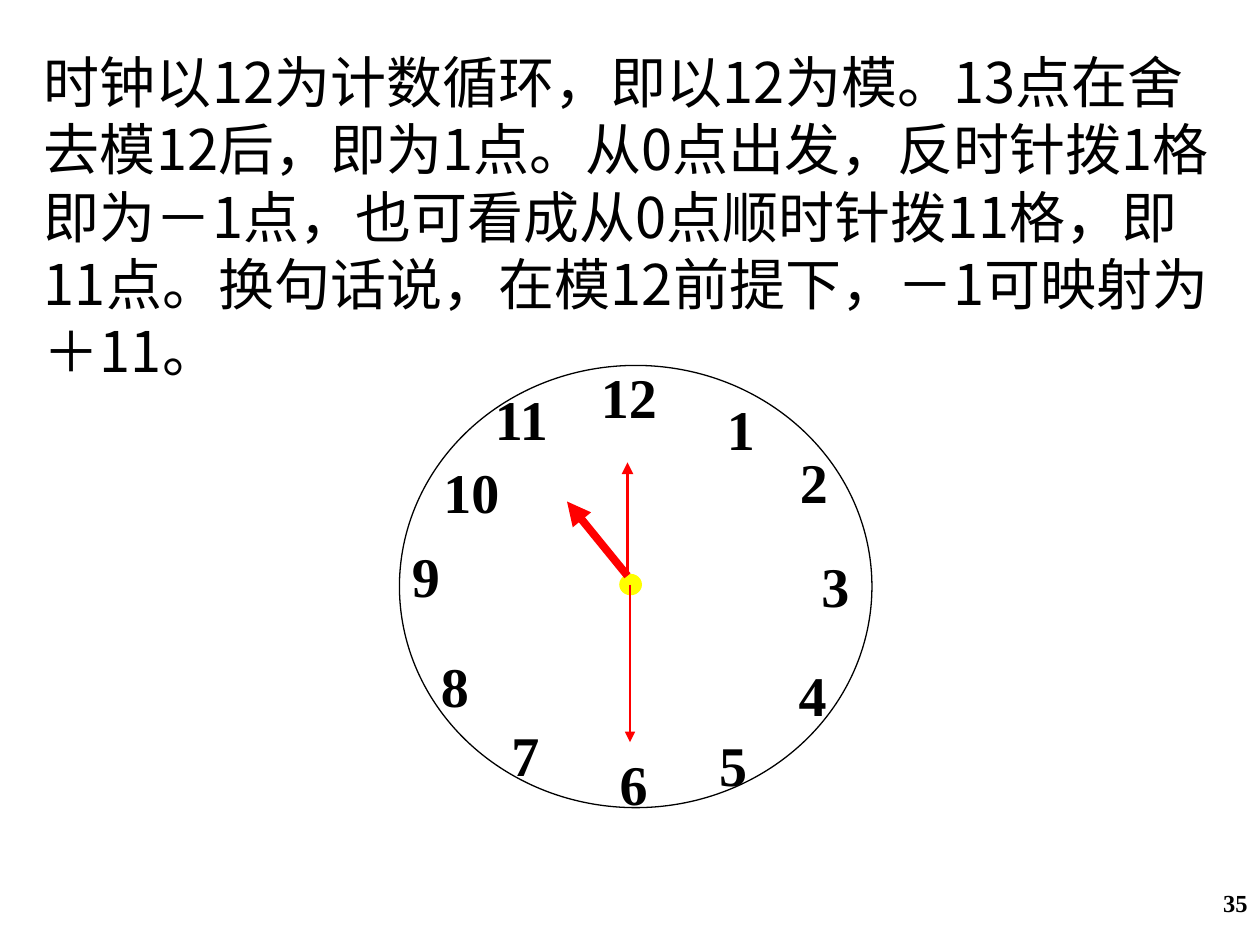
from lxml import etree
from pptx import Presentation
from pptx.dml.color import RGBColor
from pptx.enum.shapes import MSO_CONNECTOR, MSO_SHAPE
from pptx.enum.text import PP_ALIGN
from pptx.oxml.ns import qn
from pptx.util import Inches, Pt

OVAL = MSO_SHAPE.OVAL
STRAIGHT = MSO_CONNECTOR.STRAIGHT
RIGHT = PP_ALIGN.RIGHT

BLACK = RGBColor(0x00, 0x00, 0x00)
RED = RGBColor(0xFF, 0x00, 0x00)
YELLOW = RGBColor(0xFF, 0xFF, 0x00)

WIDTH, HEIGHT = 10, 7.5
BODY_FONT = "Noto Sans CJK SC"
NUMBER_FONT = "Times New Roman"
BODY_FORMAT = {"name": BODY_FONT, "size": Pt(32), "bold": False}
HOUR_FORMAT = {"name": NUMBER_FONT, "size": Pt(32), "bold": True}
PAGE_FORMAT = {"name": NUMBER_FONT, "size": Pt(14), "bold": True}

EXPLANATION = (
    "时钟以12为计数循环，即以12为模。13点在舍去模12后，即为1点。"
    "从0点出发，反时针拨1格即为－1点，也可看成从0点顺时针拨11格，即11点。"
    "换句话说，在模12前提下，－1可映射为＋11。"
)
HOUR_CORNERS = {
    12: (4.67, 2.83), 11: (3.83, 3), 10: (3.42, 3.58), 9: (3.17, 4.25),
    8: (3.4, 5.12), 7: (3.96, 5.67), 6: (4.82, 5.9), 5: (5.61, 5.75),
    4: (6.24, 5.19), 3: (6.42, 4.33), 2: (6.25, 3.5), 1: (5.67, 3.08),
}
HANDS = [
    ((5, 4.64), (5, 5.89), 1.5),
    ((4.98, 4.57), (4.5, 3.98), 4.5),
    ((4.98, 4.56), (4.98, 3.67), 2.25),
]


def add_text(shapes, text, box, text_format):
    """Add a one-paragraph text box and return its paragraph."""
    shape = shapes.add_textbox(*map(Inches, box))
    shape.text_frame.word_wrap = True
    paragraph = shape.text_frame.paragraphs[0]
    run = paragraph.add_run()
    run.text = text
    run.font.color.rgb = BLACK
    for name, value in text_format.items():
        setattr(run.font, name, value)
    east_asian = etree.SubElement(run.font._element, qn("a:ea"))
    east_asian.set("typeface", text_format["name"])
    return paragraph


def add_oval(shapes, box, line_color, fill_color=None):
    """Add an ellipse with a thin outline and an optional fill."""
    oval = shapes.add_shape(OVAL, *map(Inches, box))
    oval.shadow.inherit = False
    oval.line.color.rgb = line_color
    oval.line.width = Pt(0.75)
    if fill_color is None:
        oval.fill.background()
    else:
        oval.fill.solid()
        oval.fill.fore_color.rgb = fill_color


def add_hand(shapes, start, end, width):
    """Add a red clock hand with an arrowhead at its tip."""
    hand = shapes.add_connector(STRAIGHT, *map(Inches, start + end))
    hand.line.color.rgb = RED
    hand.line.width = Pt(width)
    etree.SubElement(hand.line._get_or_add_ln(), qn("a:tailEnd"), type="triangle")
    etree.SubElement(hand._element.spPr, qn("a:effectLst"))


def add_clock(slide):
    """Add the grouped clock: dial, hour numbers, hub and hands."""
    shapes = slide.shapes.add_group_shape().shapes
    add_oval(shapes, (3.17, 2.9, 3.75, 3.51), BLACK)
    for hour, corner in HOUR_CORNERS.items():
        width = 0.68 if hour > 9 else 0.44
        add_text(shapes, str(hour), (*corner, width, 0.64), HOUR_FORMAT)
    add_oval(shapes, (4.92, 4.56, 0.17, 0.16), YELLOW, YELLOW)
    for start, end, width in HANDS:
        add_hand(shapes, start, end, width)


def main():
    """Build the slide on modular arithmetic with a clock."""
    presentation = Presentation()
    presentation.slide_width = Inches(WIDTH)
    presentation.slide_height = Inches(HEIGHT)
    slide = presentation.slides.add_slide(presentation.slide_layouts[6])

    page_number = add_text(slide.shapes, "35", (7.92, 7, 2.08, 0.5), PAGE_FORMAT)
    page_number.alignment = RIGHT

    explanation = add_text(slide.shapes, EXPLANATION, (0.25, 0.33, 9.53, 2.77), BODY_FORMAT)
    explanation.line_spacing = Pt(38.4)

    add_clock(slide)
    presentation.save("out.pptx")


if __name__ == "__main__":
    main()
